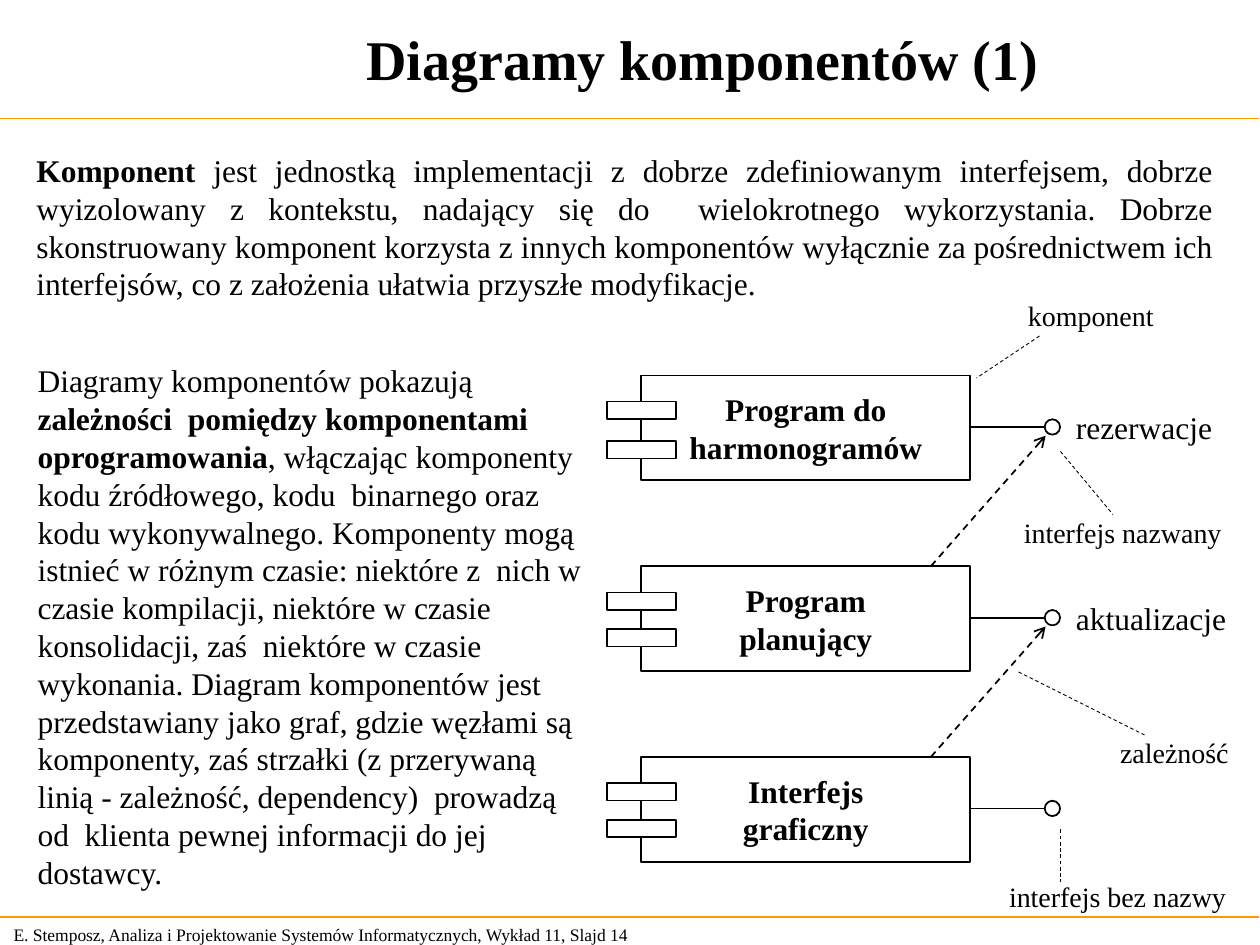
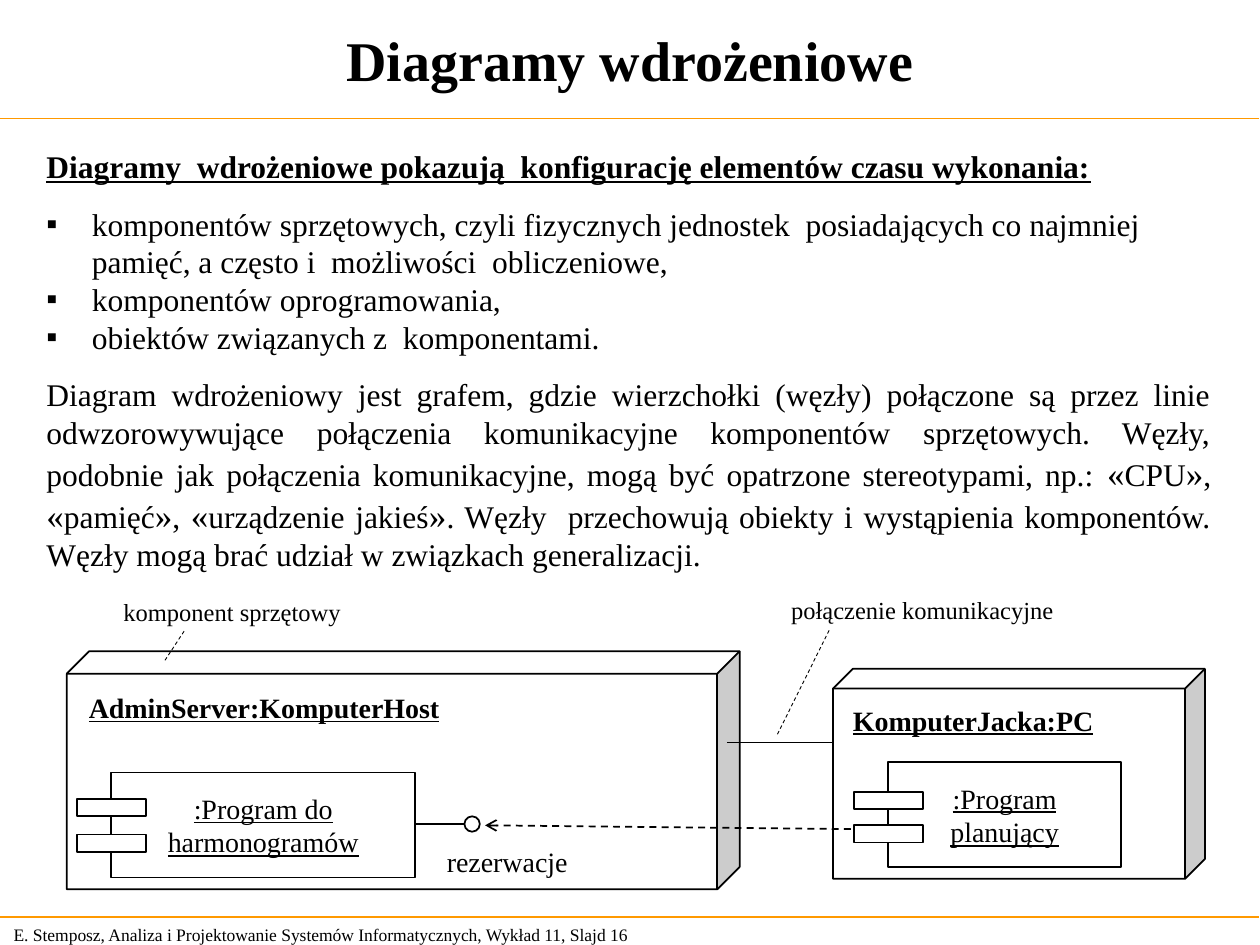
from dataclasses import dataclass
from itertools import groupby

from lxml import etree
from pptx import Presentation
from pptx.dml.color import RGBColor
from pptx.enum.dml import MSO_LINE
from pptx.enum.shapes import MSO_CONNECTOR, MSO_SHAPE
from pptx.enum.text import MSO_ANCHOR, PP_ALIGN
from pptx.oxml.ns import qn
from pptx.util import Pt

STRAIGHT = MSO_CONNECTOR.STRAIGHT
RECT, CIRCLE, CUBE = MSO_SHAPE.RECTANGLE, MSO_SHAPE.OVAL, MSO_SHAPE.CUBE
DASH = MSO_LINE.DASH
LEFT, CENTER, JUSTIFY = PP_ALIGN.LEFT, PP_ALIGN.CENTER, PP_ALIGN.JUSTIFY
TOP, MIDDLE = MSO_ANCHOR.TOP, MSO_ANCHOR.MIDDLE


@dataclass(frozen=True)
class Theme:
    font: str = "Times New Roman"
    ink: RGBColor = RGBColor(0, 0, 0)
    paper: RGBColor = RGBColor(255, 255, 255)
    rule: RGBColor = RGBColor(0xFF, 0x99, 0x00)
    title: int = 32
    guillemet: int = 20
    body: int = 18
    label: int = 16
    note: int = 14
    footer: int = 10
    line: float = 1
    thin: float = 0.75
    leader: float = 0.5


@dataclass(frozen=True)
class Box:
    left: float
    top: float
    width: float
    height: float

    def inner(self, x, y, width, height):
        return Box(self.left + x, self.top + y, width, height)

    def point(self, x, y):
        return self.left + x, self.top + y

    def lengths(self):
        return [Pt(v) for v in (self.left, self.top, self.width, self.height)]


THEME = Theme()
WIDTH, HEIGHT = 720, 540
HEADER_RULE, FOOTER_RULE = 67.7, 524
BODY_HEIGHT, LUG_LEFT, LUG_WIDTH, LUG_HEIGHT = 60, -19.5, 39.5, 10
STEM_Y, BALL = 29.5, 8.8


# Text
def style(paragraph, size, bold=False, underline=False, align=LEFT):
    paragraph.alignment = align
    font = paragraph.font
    font.name, font.size, font.bold = THEME.font, Pt(size), bold
    font.underline = underline
    font.color.rgb = THEME.ink


def add_runs(paragraph, runs):
    """Each run is (text, bold, size); None keeps the paragraph's value."""
    for text, bold, size in runs:
        run = paragraph.add_run()
        run.text = text
        if bold is not None:
            run.font.bold = bold
        if size:
            run.font.size = Pt(size)


def write(frame, lines, size, anchor=TOP, wrap=True, **look):
    """Each line is a string or a list of runs."""
    frame.word_wrap = wrap
    frame.vertical_anchor = anchor
    for i, line_runs in enumerate(lines):
        paragraph = frame.add_paragraph() if i else frame.paragraphs[0]
        if isinstance(line_runs, str):
            line_runs = [(line_runs, None, None)]
        add_runs(paragraph, line_runs)
        style(paragraph, size, **look)


def text_box(slide, box, lines, size, **look):
    frame = slide.shapes.add_textbox(*box.lengths()).text_frame
    write(frame, lines, size, **look)
    return frame


def label(slide, box, x, y, width, text, size, **look):
    """One-line label; the width leaves room to spare so it never breaks."""
    text_box(slide, box.inner(x, y, width, size * 1.2 + 7.2), [text], size, **look)


def add_bullet(paragraph, indent):
    properties = paragraph._p.get_or_add_pPr()
    properties.set("marL", str(Pt(indent)))
    properties.set("indent", str(Pt(-indent)))
    etree.SubElement(properties, qn("a:buFont")).set("typeface", THEME.font)
    etree.SubElement(properties, qn("a:buChar")).set("char", "▪")


# Lines and shapes
def line(slide, start, end, weight=THEME.line, color=THEME.ink, dashed=False, arrow=False):
    connector = slide.shapes.add_connector(STRAIGHT, *[Pt(v) for v in (*start, *end)])
    connector.line.color.rgb = color
    connector.line.width = Pt(weight)
    if dashed:
        connector.line.dash_style = DASH
    if arrow:
        etree.SubElement(connector.line._get_or_add_ln(), qn("a:tailEnd")).set("type", "arrow")
    etree.SubElement(connector._element.spPr, qn("a:effectLst"))


def outlined(slide, kind, box):
    shape = slide.shapes.add_shape(kind, *box.lengths())
    shape.shadow.inherit = False
    shape.fill.solid()
    shape.fill.fore_color.rgb = THEME.paper
    shape.line.color.rgb = THEME.ink
    shape.line.width = Pt(THEME.line)
    return shape


def component(slide, box, lines, size, lugs, stem=0, **look):
    """UML component: body, two lugs and, with a stem, an interface ball."""
    body = outlined(slide, RECT, box)
    write(body.text_frame, lines, size, anchor=MIDDLE, wrap=False, align=CENTER, **look)
    for lug_top in lugs:
        outlined(slide, RECT, box.inner(LUG_LEFT, lug_top, LUG_WIDTH, LUG_HEIGHT))
    if stem:
        ball_left = box.width + stem
        line(slide, box.point(box.width, STEM_Y), box.point(ball_left, STEM_Y))
        outlined(slide, CIRCLE, box.inner(ball_left, STEM_Y - BALL / 2, BALL, BALL))


def annotations(slide, box, notes, size):
    for text, x, y, width, start, end in notes:
        label(slide, box, x, y, width, text, size)
        line(slide, box.point(*start), box.point(*end), THEME.leader, dashed=True)


# Shared frame of every slide
def new_slide(deck, title, title_box, number):
    slide = deck.slides.add_slide(deck.slide_layouts[6])
    footer = ("E. Stemposz, Analiza i Projektowanie Systemów Informatycznych, "
              f"Wykład 11, Slajd {number}")
    text_box(slide, Box(0.7, FOOTER_RULE, 377, 19.5), [footer], THEME.footer, anchor=MIDDLE)
    for y in (HEADER_RULE, FOOTER_RULE):
        line(slide, (-0.7, y), (WIDTH - 0.7, y), THEME.thin, THEME.rule)
    text_box(slide, title_box, [title], THEME.title, anchor=MIDDLE, bold=True, align=CENTER)
    return slide


# Slide 14: component diagram
def component_text(slide, intro_box, description_box):
    text_box(slide, intro_box, [[
        ("Komponent", True, None),
        (" jest jednostką implementacji z dobrze zdefiniowanym interfejsem, dobrze "
         "wyizolowany z kontekstu, nadający się do  wielokrotnego wykorzystania. Dobrze "
         "skonstruowany komponent korzysta z innych komponentów wyłącznie za "
         "pośrednictwem ich interfejsów, co z założenia ułatwia przyszłe modyfikacje.",
         None, None),
    ]], THEME.body, align=JUSTIFY)
    text_box(slide, description_box, [[
        ("Diagramy komponentów pokazują ", None, None),
        ("zależności  pomiędzy komponentami oprogramowania", True, None),
        (", włączając komponenty kodu źródłowego, kodu  binarnego oraz kodu "
         "wykonywalnego. Komponenty mogą istnieć w różnym czasie: niektóre z  nich w "
         "czasie kompilacji, niektóre w czasie konsolidacji, zaś  niektóre w czasie "
         "wykonania. Diagram komponentów jest przedstawiany jako graf, gdzie węzłami są "
         "komponenty, zaś strzałki (z przerywaną linią - zależność, dependency)  prowadzą "
         "od  klienta pewnej informacji do jej dostawcy.", None, None),
    ]], THEME.body)


def component_diagram(slide, box):
    first_top, pitch = 47.5, 109
    programs = [
        (["Program do", "harmonogramów"], (15, 37.5), "rezerwacje"),
        (["Program", "planujący"], (15, 36), "aktualizacje"),
        (["Interfejs", "graficzny"], (15, 36), None),
    ]
    for row, (name, lugs, interface) in enumerate(programs):
        top = first_top + row * pitch
        component(slide, box.inner(19.5, top, 188, BODY_HEIGHT), name, THEME.body,
                  lugs, stem=42.5, bold=True)
        if interface:
            label(slide, box, 260.7, top + 15.2, 110, interface, THEME.body)
        if row:  # depends on the interface one row above
            line(slide, box.point(185, top), box.point(250.5, top - pitch + 34.5),
                 dashed=True, arrow=True)
    annotations(slide, box, [
        ("komponent", 233.3, 0, 96, (247, 25), (211, 49)),
        ("interfejs nazwany", 231, 124, 138, (259, 91), (289, 127)),
        ("zależność", 286, 250, 85, (235, 217), (307, 253)),
        ("interfejs bez nazwy", 222.5, 332, 148, (259, 307), (259, 337)),
    ], THEME.label)


# Slide 16: deployment diagram
def deployment_text(slide, box):
    bullets = [
        "komponentów sprzętowych, czyli fizycznych jednostek  posiadających co najmniej "
        "pamięć, a często i  możliwości  obliczeniowe,",
        "komponentów oprogramowania,",
        "obiektów związanych z  komponentami.",
    ]
    summary = (
        "Diagram wdrożeniowy jest grafem, gdzie wierzchołki (węzły) połączone są przez "
        "linie odwzorowywujące połączenia komunikacyjne komponentów sprzętowych. Węzły, "
        "podobnie jak połączenia komunikacyjne, mogą być opatrzone stereotypami, np.: "
        "«CPU», «pamięć», «urządzenie jakieś». Węzły  przechowują obiekty i wystąpienia "
        "komponentów. Węzły mogą brać udział w związkach generalizacji.")
    frame = text_box(
        slide, box,
        ["Diagramy  wdrożeniowe pokazują  konfigurację elementów czasu wykonania:"],
        THEME.body, bold=True, underline=True)
    frame.paragraphs[0].space_after = Pt(11.2)
    for item in bullets:
        paragraph = frame.add_paragraph()
        paragraph.text = item
        add_bullet(paragraph, 26)
        style(paragraph, THEME.body)
    paragraph = frame.add_paragraph()
    paragraph.space_before = Pt(11.2)
    add_runs(paragraph, [
        ("".join(part), None, THEME.guillemet if quoted else None)
        for quoted, part in groupby(summary, lambda letter: letter in "«»")])
    style(paragraph, THEME.body, align=JUSTIFY)


def node(slide, box, name, name_place, program, program_place, lugs, stem=0):
    """Hardware node with its name and the component it holds."""
    outlined(slide, CUBE, box).adjustments[0] = 0.094
    label(slide, box, *name_place, name, THEME.label, bold=True, underline=True)
    x, y, width = program_place
    component(slide, box.inner(x, y, width, BODY_HEIGHT), program, THEME.label,
              lugs, stem, underline=True)


def deployment_diagram(slide, box):
    node(slide, box.inner(0, 36, 384.5, 136), "AdminServer:KomputerHost", (5.5, 18.8, 230),
         [":Program do", "harmonogramów"], (25.2, 69.2, 174), (15, 35.5), stem=28)
    label(slide, box, 210, 142.6, 95, "rezerwacje", THEME.label)
    node(slide, box.inner(437.8, 46, 212.5, 120), "KomputerJacka:PC", (4.3, 16, 165),
         [":Program", "planujący"], (31.6, 53.3, 133), (17, 36))
    line(slide, box.point(448, 137.6), box.point(239, 135.4), dashed=True, arrow=True)
    line(slide, box.point(377.2, 88), box.point(437, 88), THEME.thin)
    annotations(slide, box, [
        ("połączenie komunikacyjne", 406.8, 0, 180, (435.6, 24), (406, 83.5)),
        ("komponent sprzętowy", 25.2, 1.5, 155, (67, 24.5), (55.5, 42)),
    ], THEME.note)


def main():
    deck = Presentation()
    deck.slide_width, deck.slide_height = Pt(WIDTH), Pt(HEIGHT)

    components = new_slide(deck, "Diagramy komponentów (1)", Box(83.5, 0, 636, 66), 14)
    component_diagram(components, Box(347, 167, 372, 359))
    component_text(components, Box(13.7, 82.8, 687, 93.6), Box(14.4, 203, 333.4, 309.6))

    deployment = new_slide(deck, "Diagramy wdrożeniowe", Box(3, 3, 714, 61), 16)
    deployment_text(deployment, Box(19.5, 80.6, 679.7, 250.6))
    deployment_diagram(deployment, Box(38.2, 336.2, 650.3, 172))

    deck.save("out.pptx")


if __name__ == "__main__":
    main()
